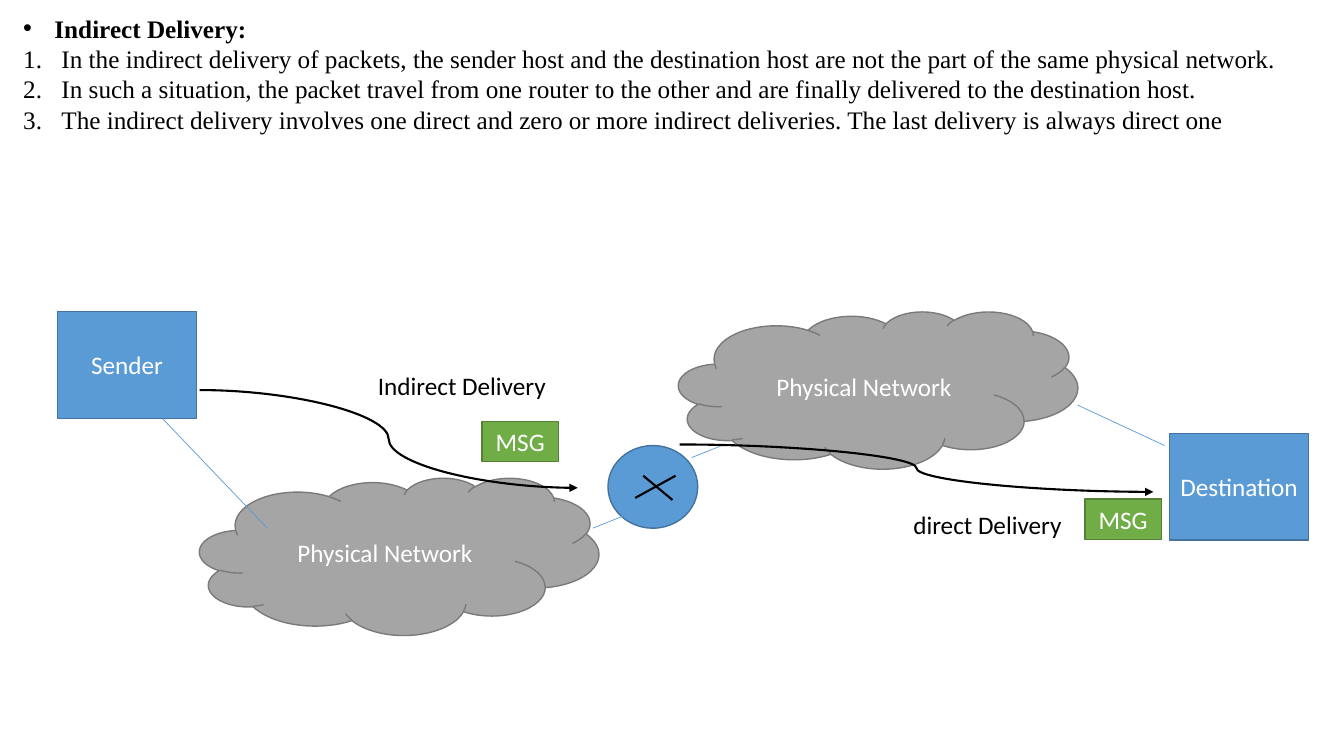
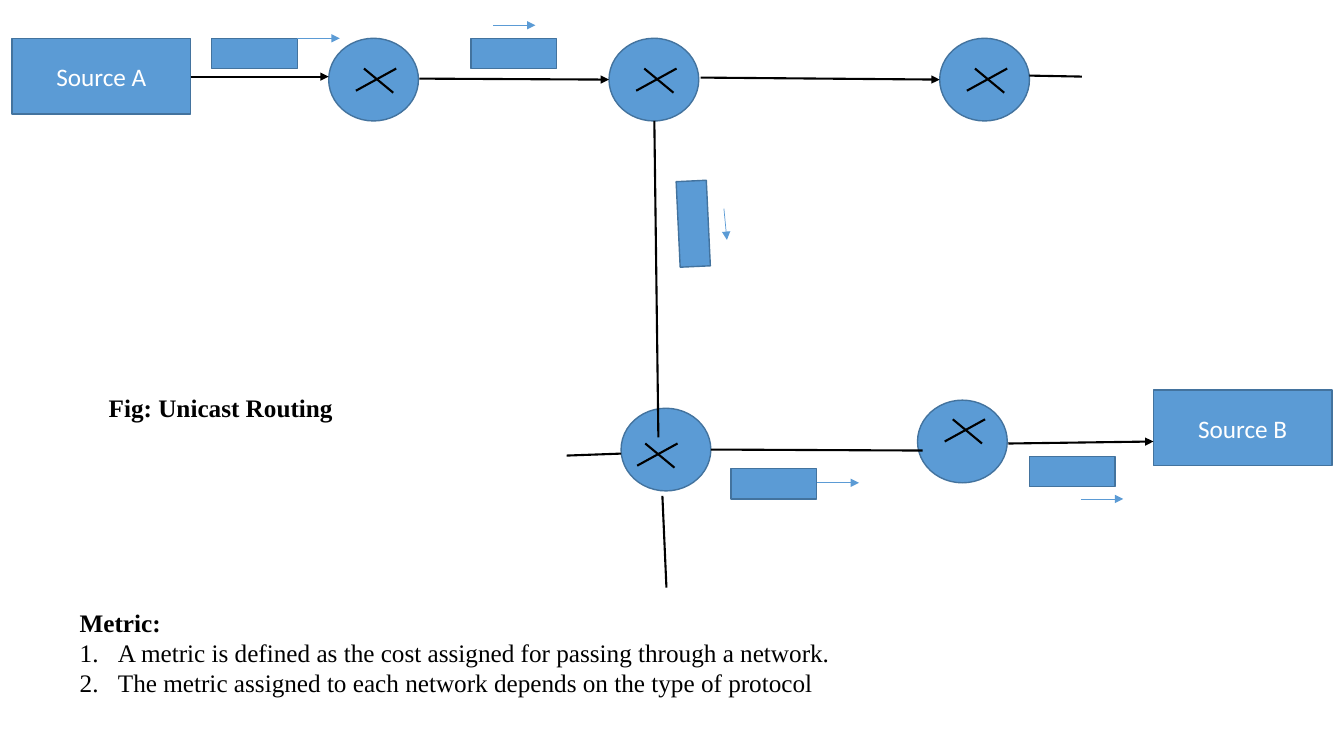
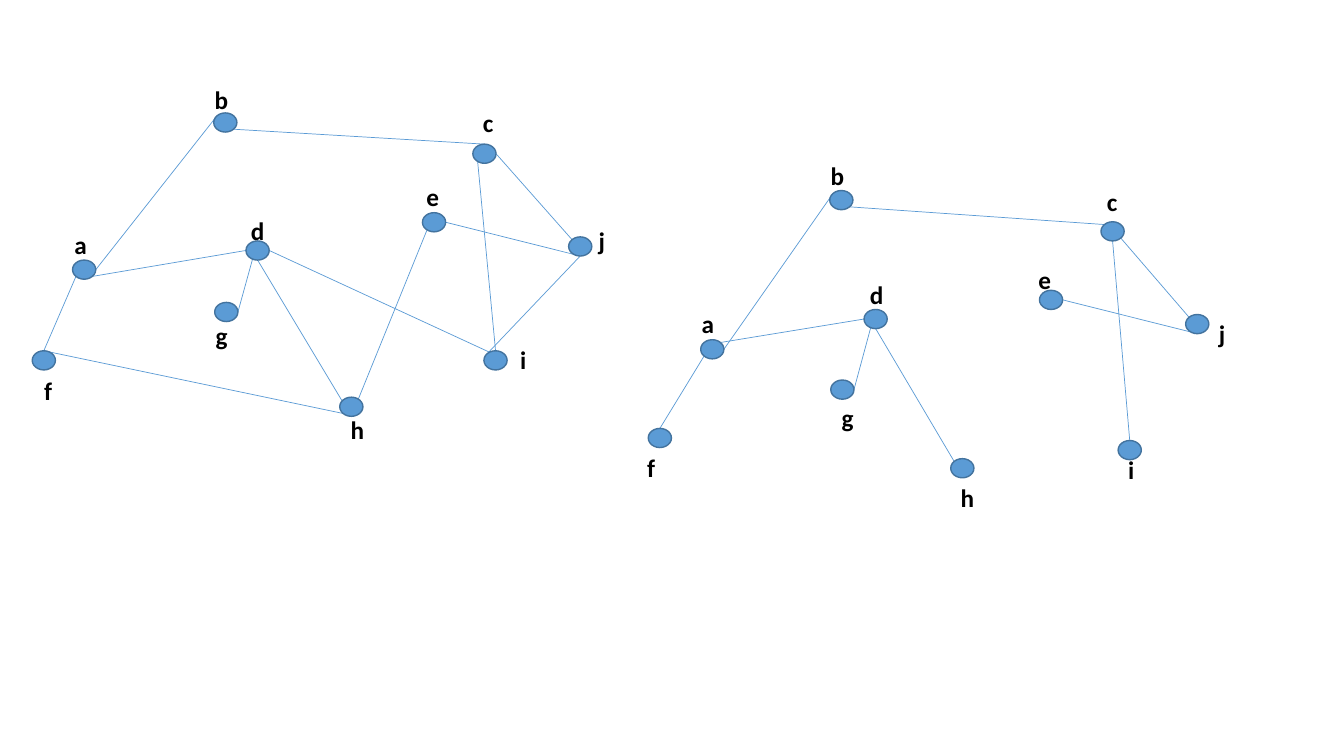
from dataclasses import dataclass

from lxml.etree import SubElement
from pptx import Presentation
from pptx.dml.color import RGBColor
from pptx.enum.shapes import MSO_CONNECTOR, MSO_SHAPE
from pptx.enum.text import MSO_ANCHOR, MSO_AUTO_SIZE, PP_ALIGN
from pptx.oxml.ns import qn
from pptx.util import Inches, Pt


@dataclass(frozen=True)
class Theme:
    black: str = "000000"
    white: str = "FFFFFF"
    blue: tuple = ("5B9BD5", "43739E")
    grey: tuple = ("A5A5A5", "7A7A7A")
    green: tuple = ("70AD47", "538035")
    sans: str = "Calibri"
    serif: str = "Times New Roman"
    text_size: int = 18
    outline: float = 1
    thick: float = 1.5
    thin: float = 0.5


T = Theme()
THICK = (T.black, T.thick)
THIN = (T.blue[0], T.thin)
ROUTER = (0.89, 0.82)
CROSS = [((0.27, 0.52), (0.67, 0.3)), ((0.35, 0.3), (0.64, 0.54))]
CLOUD, HOST, MESSAGE = (3.96, 1.56), (1.38, 1.06), (0.76, 0.4)
SOURCE, PACKET = (1.77, 0.75), (0.85, 0.3)
NODE = (0.23, 0.19)
LABEL = (0.44, 0.4)

# Content: slide 1. List rows are (marker, text); headings are bold
INDIRECT_LIST = [
    ("•", "Indirect Delivery:"),
    ("1.", "In the indirect delivery of packets, the sender host and the destination host "
           "are not the part of the same physical network."),
    ("1.", "In such a situation, the packet travel from one router to the other and are "
           "finally delivered to the destination host."),
    ("1.", "The indirect delivery involves one direct and zero or more indirect deliveries. "
           "The last delivery is always direct one"),
]
CLOUDS = [(1.98, 4.74), (6.73, 3.09)]
HOSTS = [("Sender", (0.57, 3.09)), ("Destination", (11.6, 4.3))]
LINKS = [((1.61, 4.15), (2.65, 5.24)), ((5.88, 5.24), (6.18, 5.12)),
         ((6.86, 4.54), (7.16, 4.42)), ((10.69, 4.02), (11.55, 4.42))]
DELIVERIES = [  # label, label place, arrow start, arrow end, message place
    ("Indirect Delivery", (3.65, 3.62), (1.98, 3.87), (5.73, 4.84), (4.78, 4.18)),
    ("direct Delivery", (8.96, 5), (6.74, 4.41), (11.44, 4.88), (10.76, 4.95)),
]

# Content: slide 2
METRIC_LIST = [
    ("", "Metric:"),
    ("1.", "A metric is defined as the cost assigned for passing through a network."),
    ("1.", "The metric assigned to each network depends on the type of protocol"),
]
SOURCES = [("Source A", (0.12, 0.38)), ("Source B", (11.44, 3.87))]
ROUTERS = [  # place, shift of the cross
    ((3.26, 0.38), (0, 0)), ((6.04, 0.38), (0, 0)), ((9.32, 0.38), (0, 0)),
    ((6.16, 4.05), (-0.11, 0.05)), ((9.1, 3.97), (0, -0.11)),
]
ROUTES = [  # start, end, arrow
    ((1.89, 0.76), (3.26, 0.76), True), ((4.16, 0.78), (6.04, 0.79), True),
    ((6.95, 0.77), (9.32, 0.79), True), ((10.21, 0.75), (10.73, 0.76), False),
    ((6.49, 1.2), (6.53, 4.34), False), ((7.05, 4.46), (9.15, 4.47), False),
    ((10, 4.4), (11.44, 4.38), True), ((6.57, 4.92), (6.61, 5.83), False),
    ((5.62, 4.52), (6.16, 4.5), False),
]
PACKETS = [  # place, rotation, arrow start, arrow end
    ((2.1, 0.38), 0, (2.95, 0.38), (3.37, 0.38)),
    ((4.67, 0.38), 0, (4.89, 0.25), (5.31, 0.25)),
    ((6.45, 2.07), 87.3, (7.18, 2.07), (7.21, 2.38)),
    ((7.25, 4.65), 0, (8.1, 4.79), (8.52, 4.79)),
    ((10.21, 4.53), 0, (10.72, 4.95), (11.14, 4.95)),
]

# Content: slide 3. Nodes hold (node place, label place);
# edges are "node.side node.side" with sides t, b, l, r and the corners between
GRAPH = (
    {"a": ((0.72, 2.58), (0.64, 2.23)), "b": ((2.12, 1.12), (2.03, 0.79)),
     "c": ((4.69, 1.43), (4.69, 1.02)), "d": ((2.44, 2.39), (2.39, 2.09)),
     "e": ((4.19, 2.11), (4.13, 1.75)), "f": ((0.32, 3.48), (0.34, 3.67)),
     "g": ((2.13, 3), (2.04, 3.13)), "h": ((3.37, 3.94), (3.38, 4.06)),
     "i": ((4.8, 3.48), (5.06, 3.37)), "j": ((5.64, 2.35), (5.84, 2.19))},
    ["f.t a.bl", "a.r b.tl", "b.br c.t", "c.r j.tl", "j.b e.r", "e.t h.b", "d.b h.b",
     "d.t g.r", "f.t h.bl", "j.b i.tl", "c.tl i.t", "i.r d.r", "d.l a.br"],
)
TREE = (
    {"a": ((6.95, 3.37), (6.86, 3.01)), "b": ((8.23, 1.89), (8.14, 1.54)),
     "c": ((10.92, 2.2), (10.88, 1.8)), "d": ((8.57, 3.07), (8.53, 2.72)),
     "e": ((10.31, 2.88), (10.2, 2.57)), "f": ((6.43, 4.25), (6.32, 4.44)),
     "g": ((8.24, 3.77), (8.25, 3.94)), "h": ((9.43, 4.55), (9.43, 4.74)),
     "i": ((11.09, 4.37), (11.09, 4.46)), "j": ((11.76, 3.12), (11.99, 3.11))},
    ["f.t a.bl", "a.r b.tl", "b.br c.tl", "c.br j.tl", "j.b e.r", "d.t g.r",
     "c.b i.t", "d.l a.tr", "d.b h.tl"],
)


# Shared drawing helpers
def rgb(value):
    return RGBColor.from_string(value)


def box(place, size):
    return [Inches(v) for v in (*place, *size)]


def write(p, text, color=T.black, font=T.sans, bold=False):
    r = p.add_run()
    r.text = text
    formats = {"name": font, "size": Pt(T.text_size), "bold": bold}
    for key, value in formats.items():
        setattr(r.font, key, value)
    r.font.color.rgb = rgb(color)


def add_label(s, text, place, size, **style):
    tf = s.shapes.add_textbox(*box(place, size)).text_frame
    tf.word_wrap = True
    write(tf.paragraphs[0], text, **style)


def add_block(s, kind, place, size, colors=T.blue, text="", rotation=0):
    sp = s.shapes.add_shape(kind, *box(place, size))
    sp.shadow.inherit = False
    sp.rotation = rotation
    fill, line = colors
    sp.fill.solid()
    sp.fill.fore_color.rgb = rgb(fill)
    sp.line.color.rgb = rgb(line)
    sp.line.width = Pt(T.outline)
    if text:
        tf = sp.text_frame
        tf.word_wrap = True
        tf.vertical_anchor = MSO_ANCHOR.MIDDLE
        tf.paragraphs[0].alignment = PP_ALIGN.CENTER
        write(tf.paragraphs[0], text, T.white)


def add_line(s, start, end, style=THIN, arrow=False, kind=MSO_CONNECTOR.STRAIGHT):
    line = s.shapes.add_connector(kind, *box(start, end))
    color, width = style
    line.line.color.rgb = rgb(color)
    line.line.width = Pt(width)
    if arrow:
        SubElement(line.line._get_or_add_ln(), qn("a:tailEnd"), type="triangle")
    SubElement(line._element.spPr, qn("a:effectLst"))


def add_router(s, place, shift=(0, 0)):
    add_block(s, MSO_SHAPE.OVAL, place, ROUTER)
    x, y = place[0] + shift[0], place[1] + shift[1]
    for (x1, y1), (x2, y2) in CROSS:
        add_line(s, (x + x1, y + y1), (x + x2, y + y2), THICK)


def set_marker(p, marker):
    indent = Inches({"": 0, "•": 0.31, "1.": 0.38}[marker])
    pPr = p._p.get_or_add_pPr()
    pPr.set("marL", str(indent))
    pPr.set("indent", str(-indent))
    if marker == "•":
        SubElement(pPr, qn("a:buFont"), typeface="Arial")
        SubElement(pPr, qn("a:buChar"), char=marker)
    elif marker:
        SubElement(pPr, qn("a:buFont"), typeface="+mj-lt")
        SubElement(pPr, qn("a:buAutoNum"), type="arabicPeriod")
    else:
        SubElement(pPr, qn("a:buNone"))


def add_list_slide(prs, rows, place, size):
    s = prs.slides.add_slide(prs.slide_layouts[1])
    title, body = s.placeholders
    title._element.getparent().remove(title._element)
    body.left, body.top, body.width, body.height = box(place, size)
    tf = body.text_frame
    tf.auto_size = MSO_AUTO_SIZE.NONE
    tf.vertical_anchor = MSO_ANCHOR.TOP
    for i, (marker, text) in enumerate(rows):
        p = tf.add_paragraph() if i else tf.paragraphs[0]
        set_marker(p, marker)
        formats = {"space_before": Pt(0), "space_after": Pt(0), "line_spacing": 1.0,
                   "alignment": PP_ALIGN.LEFT}
        for key, value in formats.items():
            setattr(p, key, value)
        write(p, text, font=T.serif, bold=marker != "1.")
    return s


def node_side(place, side):
    """Point on the node's outline, on a side or on the diagonal between two."""
    reach = 0.5 if len(side) == 1 else 0.5 * 0.5 ** 0.5
    dx = ("r" in side) - ("l" in side)
    dy = ("b" in side) - ("t" in side)
    return (place[0] + NODE[0] * (0.5 + reach * dx),
            place[1] + NODE[1] * (0.5 + reach * dy))


def add_graph(s, nodes, edges):
    for edge in edges:
        ends = [end.split(".") for end in edge.split()]
        add_line(s, *(node_side(nodes[name][0], side) for name, side in ends))
    for place, _ in nodes.values():
        add_block(s, MSO_SHAPE.OVAL, place, NODE)
    for name, (_, place) in nodes.items():
        add_label(s, name, place, LABEL, bold=True)


# Slides
def indirect_delivery(prs):
    s = add_list_slide(prs, INDIRECT_LIST, (0.13, 0.08), (12.75, 1.31))
    for place in CLOUDS:
        add_block(s, MSO_SHAPE.CLOUD, place, CLOUD, T.grey, "Physical Network")
    add_router(s, (6.03, 4.42))
    for name, place in HOSTS:
        add_block(s, MSO_SHAPE.RECTANGLE, place, HOST, text=name)
    for start, end in LINKS:
        add_line(s, start, end)
    for text, place, start, end, message in DELIVERIES:
        add_line(s, start, end, THICK, True, MSO_CONNECTOR.CURVE)
        add_label(s, text, place, (2.12, 0.4))
        add_block(s, MSO_SHAPE.RECTANGLE, message, MESSAGE, T.green, "MSG")


def unicast_routing(prs):
    s = add_list_slide(prs, METRIC_LIST, (0.69, 5.97), (11.38, 1.01))
    for name, place in SOURCES:
        add_block(s, MSO_SHAPE.RECTANGLE, place, SOURCE, text=name)
    for place, shift in ROUTERS:
        add_router(s, place, shift)
    for start, end, arrow in ROUTES:
        add_line(s, start, end, THICK, arrow)
    for place, rotation, start, end in PACKETS:
        add_block(s, MSO_SHAPE.RECTANGLE, place, PACKET, rotation=rotation)
        add_line(s, start, end, arrow=True)
    add_label(s, "Fig: Unicast Routing", (0.98, 3.84), (3.64, 0.4),
              font=T.serif, bold=True)


def spanning_tree(prs):
    s = prs.slides.add_slide(prs.slide_layouts[6])
    for nodes, edges in (GRAPH, TREE):
        add_graph(s, nodes, edges)


def main():
    prs = Presentation()
    prs.slide_width, prs.slide_height = Inches(13.33), Inches(7.5)
    for build in (indirect_delivery, unicast_routing, spanning_tree):
        build(prs)
    prs.save("out.pptx")


if __name__ == "__main__":
    main()
